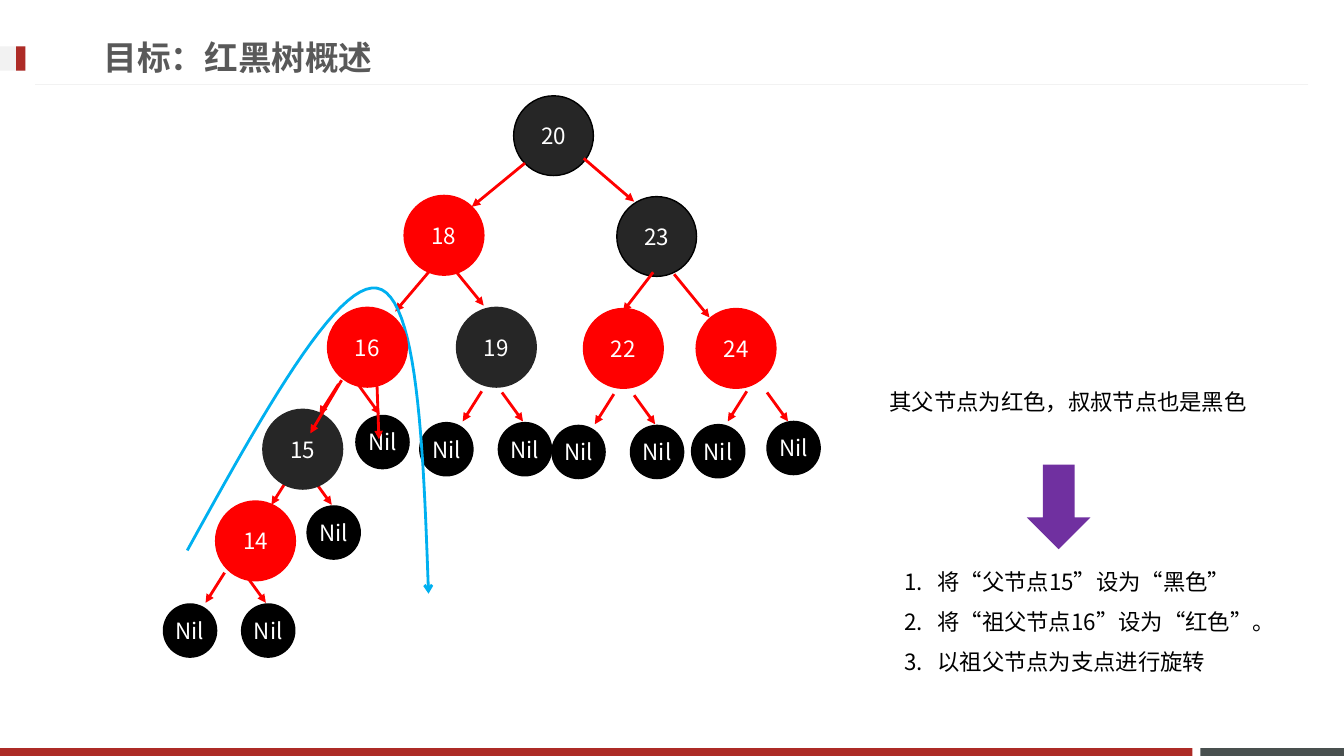
from lxml.etree import SubElement
from pptx import Presentation
from pptx.dml.color import RGBColor
from pptx.enum.shapes import MSO_CONNECTOR as Link, MSO_SHAPE as Preset
from pptx.enum.text import MSO_ANCHOR as Anchor, PP_ALIGN as Align
from pptx.oxml.ns import qn
from pptx.util import Cm, Pt

WHITE = RGBColor(0xFF, 0xFF, 0xFF)
BLACK = RGBColor(0x00, 0x00, 0x00)
DARK = RGBColor(0x26, 0x26, 0x26)
RED = RGBColor(0xFF, 0x00, 0x00)
CRIMSON = RGBColor(0xAD, 0x2B, 0x26)
SLATE = RGBColor(0x49, 0x50, 0x4F)
PALE = RGBColor(0xF2, 0xF2, 0xF2)
GREY = RGBColor(0x59, 0x59, 0x59)
PURPLE = RGBColor(0x70, 0x30, 0xA0)
SKY = RGBColor(0x00, 0xB0, 0xF0)

TEXT_FONT = {"name": "Noto Sans CJK SC", "size": Pt(16), "bold": False}
TITLE_FONT = {"name": "Noto Sans CJK JP", "size": Pt(24), "bold": True}
NODE_SIZE, NIL_SIZE = 2.01, 1.34

# label, centre x, centre y, fill, outline
BACK_NODES = [
    ("20", 13.95, 3.42, DARK, BLACK),
    ("23", 16.55, 5.96, DARK, BLACK),
    ("22", 15.71, 8.78, RED, RED),
    ("24", 18.55, 8.78, RED, RED),
    ("14", 6.44, 13.63, RED, RED),
]
MIDDLE_NODES = [("19", 12.51, 8.75, DARK, DARK), ("18", 11.19, 5.93, RED, RED)]
FRONT_NODES = [("16", 9.26, 8.75, RED, RED), ("15", 7.63, 11.32, DARK, DARK)]
NIL_CENTRES = [
    (9.64, 11.14), (11.25, 11.32), (13.23, 11.32), (14.58, 11.39), (16.56, 11.39),
    (18.1, 11.37), (20, 11.29), (8.41, 13.42), (4.79, 15.89), (6.76, 15.89),
]
TREE_EDGES = [
    (13.23, 4.11, 11.89, 5.21), (14.71, 3.99, 15.98, 5.08),
    (10.8, 6.86, 9.96, 7.85), (11.48, 6.83, 12.19, 7.7),
    (16.46, 6.86, 15.7, 7.85), (16.99, 6.91, 17.88, 8),
]
FRONT_EDGES = [(9.5, 9.68, 9.55, 11.07), (8.61, 9.58, 7.82, 10.92)]
# Start of the left arrow in each pair of child arrows
FORKS = [(8.53, 9.68), (12.14, 9.86), (15.47, 9.93), (18.82, 9.86), (7.32, 11.96), (5.66, 14.43)]
ROTATION_CURVES = [
    [(4.72, 13.87), (6.6, 10.46), (8.48, 7.09), (9.5, 7.26)],
    [(9.5, 7.26), (10.52, 7.44), (10.67, 11.2), (10.8, 14.96)],
]
CURVE_STEPS = 24

STEPS = ["将“父节点15”设为“黑色”", "将“祖父节点16”设为“红色”。", "以祖父节点为支点进行旋转"]


def write(para, text, color, font=TEXT_FONT):
    span = para.add_run()
    span.text = text
    for key, value in font.items():
        setattr(span.font, key, value)
    span.font.color.rgb = color
    SubElement(span.font._element, qn("a:ea"), typeface=font["name"])


def place(shape, left, top, width, height):
    bounds = {"left": left, "top": top, "width": width, "height": height}
    for key, value in bounds.items():
        setattr(shape, key, Cm(value))


def add_block(page, preset, left, top, width, height, fill, outline=None):
    block = page.shapes.add_shape(preset, Cm(left), Cm(top), Cm(width), Cm(height))
    block.shadow.inherit = False
    block.fill.solid()
    block.fill.fore_color.rgb = fill
    if outline is None:
        block.line.fill.background()
    else:
        block.line.color.rgb = outline
        block.line.width = Pt(1)
    return block


def add_node(page, label, x, y, fill, outline, size=NODE_SIZE):
    """Draw a labelled tree node around its centre."""
    node = add_block(page, Preset.OVAL, x - size / 2, y - size / 2, size, size, fill, outline)
    frame = node.text_frame
    for side in ("left", "top", "right", "bottom"):
        setattr(frame, f"margin_{side}", 0)
    frame.word_wrap = False
    frame.vertical_anchor = Anchor.MIDDLE
    frame.paragraphs[0].alignment = Align.CENTER
    write(frame.paragraphs[0], label, WHITE)


def add_arrowhead(shape, kind):
    SubElement(shape.element.spPr.find(qn("a:ln")), qn("a:tailEnd"), type=kind)


def add_line(page, x1, y1, x2, y2, color=RED, width=2, head="triangle"):
    line = page.shapes.add_connector(Link.STRAIGHT, Cm(x1), Cm(y1), Cm(x2), Cm(y2))
    line.line.color.rgb = color
    line.line.width = Pt(width)
    if head:
        add_arrowhead(line, head)
    SubElement(line.element.spPr, qn("a:effectLst"))


def add_fork(page, x, y):
    """Draw the two arrows from a node to its children."""
    add_line(page, x, y, x - 0.48, y + 0.76)
    add_line(page, x + 0.51, y + 0.03, x + 1.04, y + 0.76)


def bezier_point(controls, t):
    weights = ((1 - t) ** 3, 3 * t * (1 - t) ** 2, 3 * t ** 2 * (1 - t), t ** 3)
    return tuple(Cm(sum(w * point[axis] for w, point in zip(weights, controls))) for axis in (0, 1))


def add_rotation_curve(page):
    points = [bezier_point(controls, step / CURVE_STEPS)
              for controls in ROTATION_CURVES for step in range(1, CURVE_STEPS + 1)]
    builder = page.shapes.build_freeform(*bezier_point(ROTATION_CURVES[0], 0))
    builder.add_line_segments(points, close=False)
    curve = builder.convert_to_shape()
    curve.shadow.inherit = False
    curve.fill.background()
    curve.line.color.rgb = SKY
    curve.line.width = Pt(2)
    add_arrowhead(curve, "arrow")


def add_frame(page):
    """Draw the footer bars, the header rule and the title marker."""
    add_block(page, Preset.RECTANGLE, 30.25, 18.85, 3.62, 0.2, SLATE)
    add_block(page, Preset.RECTANGLE, 0, 18.85, 30.05, 0.2, CRIMSON)
    add_line(page, 32.97, 2.13, 0.89, 2.13, PALE, 0.75, None)
    add_block(page, Preset.RECTANGLE, 0, 1.17, 0.64, 0.61, PALE)
    add_block(page, Preset.RECTANGLE, 0.41, 1.17, 0.23, 0.61, CRIMSON)


def add_tree(page):
    for node in BACK_NODES:
        add_node(page, *node)
    for x, y in NIL_CENTRES:
        add_node(page, "Nil", x, y, BLACK, BLACK, NIL_SIZE)
    for edge in TREE_EDGES:
        add_line(page, *edge)
    for fork in FORKS:
        add_fork(page, *fork)
    for node in MIDDLE_NODES:
        add_node(page, *node)
    add_rotation_curve(page)
    for node in FRONT_NODES:
        add_node(page, *node)
    for edge in FRONT_EDGES:
        add_line(page, *edge)


def fill_title(title):
    place(title, 2.36, 0, 19.94, 3)
    title.text_frame.vertical_anchor = Anchor.MIDDLE
    para = title.text_frame.paragraphs[0]
    para.alignment = Align.LEFT
    para.line_spacing = 0.9
    write(para, "目标：红黑树概述", GREY, TITLE_FONT)


def fill_steps(body):
    place(body, 22.53, 13.84, 10.2, 3.23)
    frame = body.text_frame
    frame.word_wrap = True
    for index, step in enumerate(STEPS):
        para = frame.add_paragraph() if index else frame.paragraphs[0]
        props = para._p.get_or_add_pPr()
        props.set("marL", str(Cm(0.84)))
        props.set("indent", str(-Cm(0.84)))
        SubElement(props, qn("a:buAutoNum"), type="arabicPeriod")
        para.line_spacing = 1.5
        para.space_before = Pt(0)
        write(para, step, BLACK)


def add_condition(page):
    box = page.shapes.add_textbox(Cm(22.17), Cm(9.32), Cm(9.63), Cm(1.17))
    box.text_frame.word_wrap = True
    para = box.text_frame.paragraphs[0]
    para.line_spacing = 1.5
    write(para, "其父节点为红色，叔叔节点也是黑色", BLACK)


def main():
    deck = Presentation()
    deck.slide_width, deck.slide_height = Cm(33.87), Cm(19.05)
    page = deck.slides.add_slide(deck.slide_layouts[1])
    add_frame(page)
    fill_title(page.shapes.title)
    add_tree(page)
    add_condition(page)
    add_block(page, Preset.DOWN_ARROW, 25.88, 11.71, 1.6, 2.13, PURPLE)
    fill_steps(page.placeholders[1])
    deck.save("out.pptx")


if __name__ == "__main__":
    main()
